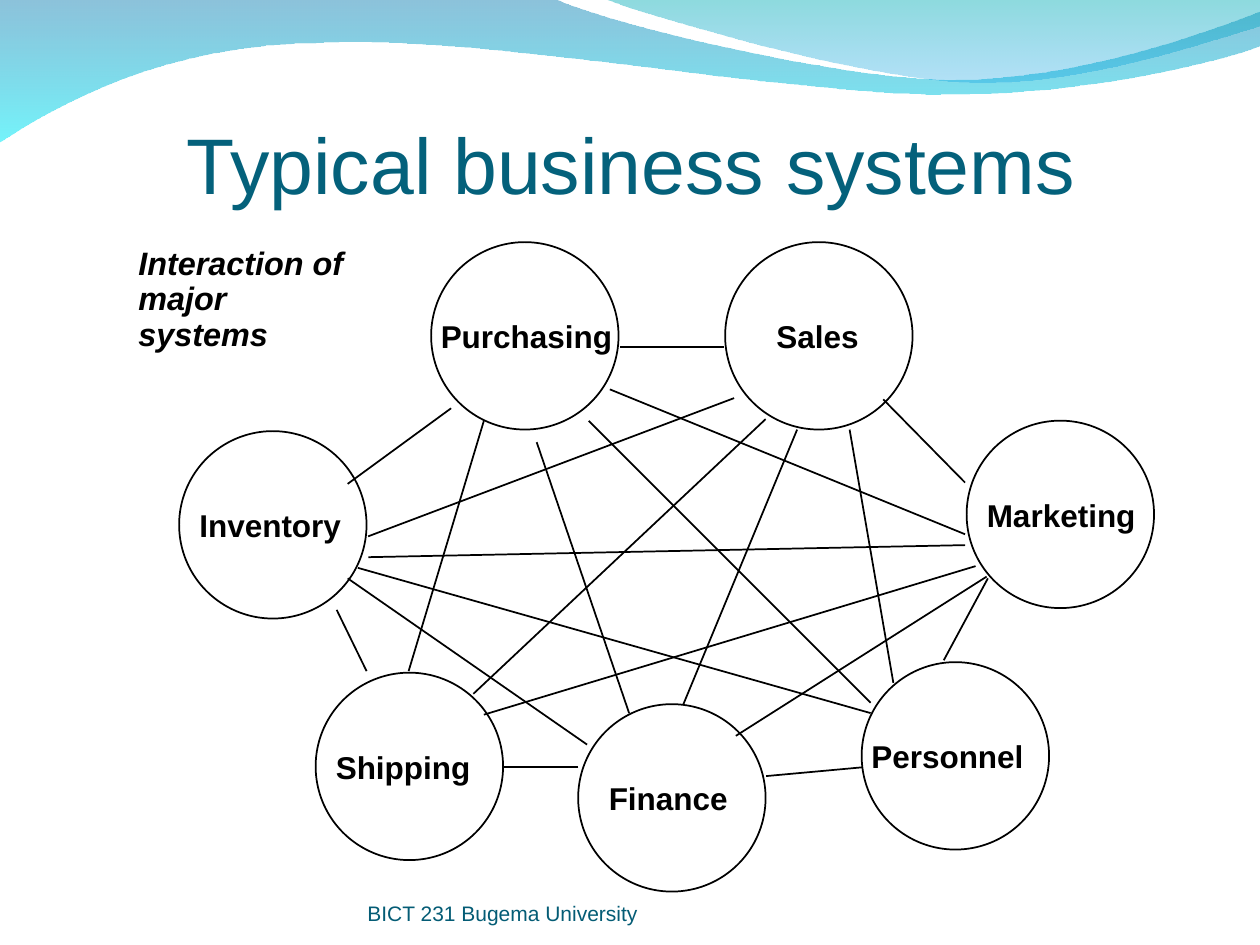
"""Build the slide that shows how the major business systems interact."""
from dataclasses import dataclass

from lxml.etree import SubElement
from pptx import Presentation
from pptx.dml.color import RGBColor as RGB
from pptx.enum.shapes import MSO_CONNECTOR as Conn, MSO_SHAPE as Kind
from pptx.enum.text import MSO_ANCHOR as Anchor, MSO_AUTO_SIZE as Fit
from pptx.oxml.ns import qn
from pptx.util import Pt


@dataclass(frozen=True)
class Theme:
    font: str = "Arial"
    ink: str = "000000"
    paper: str = "FFFFFF"
    title: str = "04617B"
    foot: str = "045C75"
    back: tuple = (("0079AF", 45), ("00EBF8", 55))
    front: tuple = (("00ADB6", 45), ("009BE5", 30))
    big: float = 45
    note: float = 18.5
    label: float = 18
    small: float = 12
    rule: float = 1


def write(frame, text, size, color, font, bold=False, slant=False, space=None):
    para = frame.paragraphs[0]
    para.line_spacing = space
    run = para.add_run()
    run.text = text
    face = run.font
    face.name, face.size = font, Pt(size)
    face.bold, face.italic = bold, slant
    face.color.rgb = RGB.from_string(color)


def bend(shape, path):
    lines = iter(list(shape._element.iter(qn("a:lnTo"))))
    for part in path:
        group = [next(lines) for _ in range(len(part) // 2)]
        if len(group) == 3:
            first = group[0]
            first.tag = qn("a:cubicBezTo")
            for line in group[1:]:
                first.append(line[0])
                line.getparent().remove(line)


class Deck:
    def __init__(self, theme):
        self.theme = theme
        self.show = Presentation()
        self.show.slide_width, self.show.slide_height = Pt(720), Pt(540)
        self.slide = self.show.slides.add_slide(self.show.slide_layouts[6])
        self.shapes = self.slide.shapes

    def wave(self, start, path, stops):
        spots = [(Pt(part[i]), Pt(part[i + 1]))
                 for part in path for i in range(0, len(part), 2)]
        pen = self.shapes.build_freeform(*map(Pt, start), scale=1.0)
        pen.add_line_segments(spots, close=True)
        shape = pen.convert_to_shape()
        bend(shape, path)
        shape.shadow.inherit = False
        shape.line.fill.background()
        fill = shape.fill
        fill.gradient()
        fill.gradient_angle = 270
        for stop, (color, _), place in zip(fill.gradient_stops, stops, (0, 1)):
            stop.color.rgb = RGB.from_string(color)
            stop.position = place
        tints = shape._element.spPr.iter(qn("a:srgbClr"))
        for tint, (_, alpha) in zip(tints, stops):
            SubElement(tint, qn("a:alpha")).set("val", str(alpha * 1000))

    def text(self, text, box, size, color, inset=(7.2, 3.6, 7.2, 3.6),
             anchor=Anchor.TOP, wrap=True, **style):
        frame = self.shapes.add_textbox(*map(Pt, box)).text_frame
        frame.word_wrap = wrap
        frame.auto_size = Fit.NONE if wrap else Fit.SHAPE_TO_FIT_TEXT
        frame.vertical_anchor = anchor
        (frame.margin_left, frame.margin_top,
         frame.margin_right, frame.margin_bottom) = map(Pt, inset)
        write(frame, text, size, color, self.theme.font, **style)

    def node(self, name, left, top, start, width, side=107.1):
        theme = self.theme
        disc = self.shapes.add_shape(Kind.OVAL, *map(Pt, (left, top, side, side)))
        disc.shadow.inherit = False
        disc.fill.solid()
        disc.fill.fore_color.rgb = RGB.from_string(theme.paper)
        disc.line.color.rgb = RGB.from_string(theme.ink)
        disc.line.width = Pt(theme.rule)
        self.text(name, (start, top + 39.3, width, 28.8), theme.label,
                  theme.ink, wrap=False, bold=True)

    def link(self, *ends):
        line = self.shapes.add_connector(Conn.STRAIGHT, *map(Pt, ends))
        line.line.color.rgb = RGB.from_string(self.theme.ink)
        line.line.width = Pt(self.theme.rule)
        SubElement(line._element.spPr, qn("a:effectLst"))


BACK = [
    (316.8, -0.7),
    (342.7, 12.2, 478.1, 45.4, 545.8, 45.4),
    (614.2, 45.4, 689.8, 18.7, 720, 6.5),
    (720.7, 25.9),
    (707.8, 31.7, 626.4, 54.7, 537.1, 54),
    (447.8, 54, 275, 20.2, 185, 24.5),
    (92.9, 25.2, 33.1, 59.8, -0.7, 81.4),
]
FRONT = [
    (366.5, 7.9, 491, 44.6, 553.7, 46.8),
    (616.3, 49.7, 691.9, 23, 720, 15.1),
    (720, 0),
]
NODES = [
    ("Purchasing", 246.4, 138.4, 244.8, 112.6),
    ("Sales", 414.4, 138.4, 436.5, 61.6),
    ("Marketing", 552.4, 240.4, 556.8, 99.8),
    ("Personnel", 492.4, 378.4, 490.8, 101.8),
    ("Finance", 330.4, 402.4, 340.8, 83),
    ("Shipping", 180.4, 384.4, 184.8, 91.8),
    ("Inventory", 102.4, 246.4, 106.8, 96),
]
LINKS = [
    (354.4, 198.2, 413.5, 198.2),
    (504.7, 228.2, 551.5, 275.8),
    (564.5, 330.5, 539.3, 377.3),
    (492.5, 438.5, 437.8, 443.5),
    (330.5, 438.1, 287.3, 438.1),
    (192.4, 348.5, 209.5, 383.5),
    (198.7, 276.5, 257.8, 233.3),
    (276.5, 240.5, 233.5, 383.5),
    (306.7, 252.7, 359.5, 407.5),
    (336.4, 240.5, 497.5, 401.6),
    (348.5, 222.5, 551.5, 305.3),
    (210.4, 306.5, 419.5, 227.5),
    (270.5, 396.5, 437.5, 239.5),
    (390.5, 402.5, 455.5, 245.5),
    (510.5, 390.2, 485.5, 245.5),
    (210.5, 318.4, 551.5, 311.5),
    (276.5, 408.4, 557.5, 323.5),
    (420.5, 420.5, 563.8, 329.5),
    (198.7, 330.5, 335.5, 425.5),
    (204.5, 324.5, 497.5, 407.5),
]


def main():
    theme = Theme()
    deck = Deck(theme)
    deck.wave((0, -0.7), BACK, theme.back)
    deck.wave((344.9, -0.7), FRONT, theme.front)
    deck.text("Typical business systems", (106.5, 72.4, 613.5, 47.5), theme.big,
              theme.title, inset=(0, 3.6, 0, 0), anchor=Anchor.BOTTOM)
    deck.text("Interaction of major systems", (72, 138.2, 139, 79.2), theme.note,
              theme.ink, bold=True, slant=True, space=0.9)
    deck.text("BICT 231 Bugema University", (210, 500.4, 264.2, 28.8), theme.small,
              theme.foot, inset=(0, 0, 0, 0), anchor=Anchor.BOTTOM)
    for node in NODES:
        deck.node(*node)
    for ends in LINKS:
        deck.link(*ends)
    deck.show.save("out.pptx")


if __name__ == "__main__":
    main()
